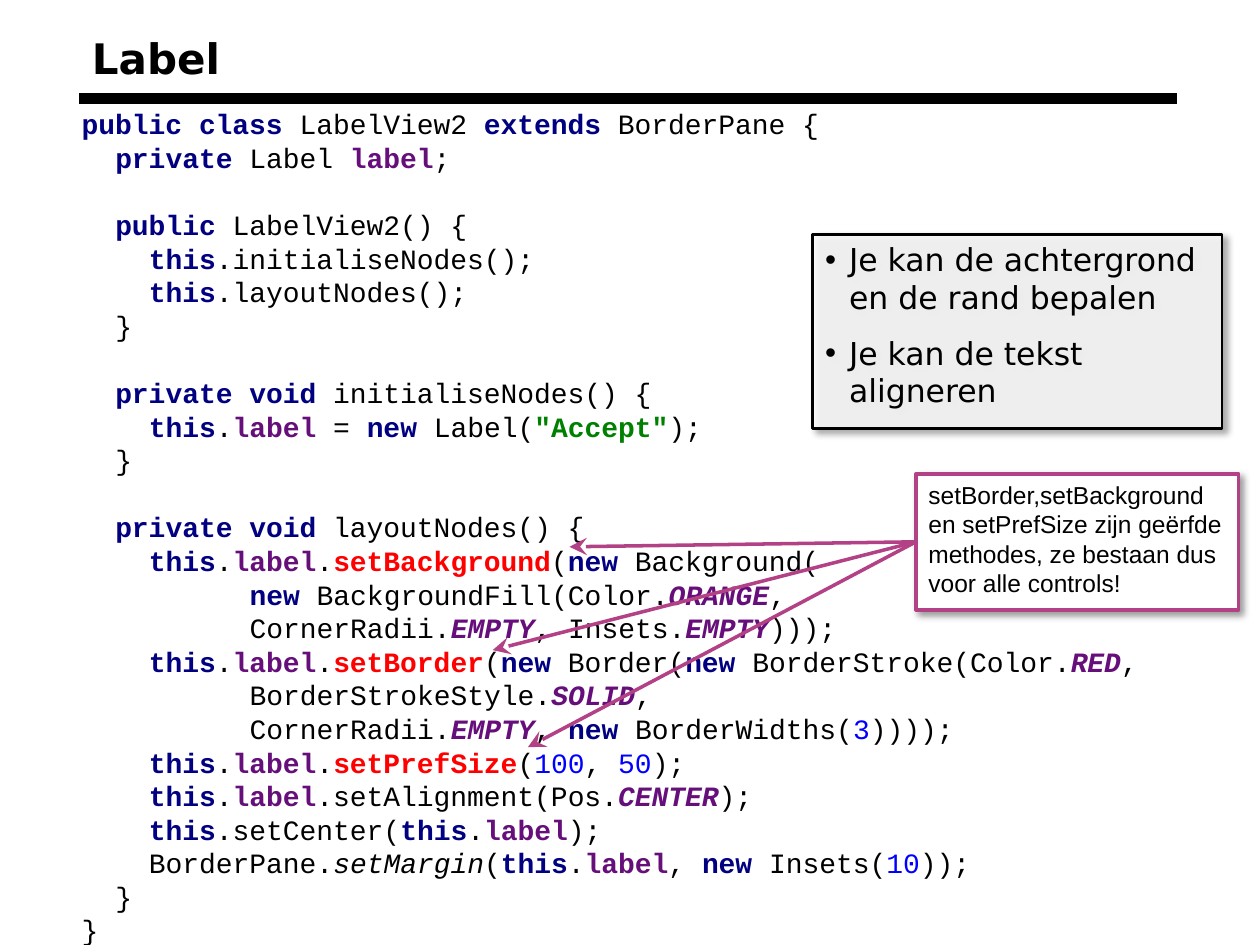
from dataclasses import dataclass
from itertools import groupby
from typing import Any, NamedTuple

import lxml.etree
import pptx
import pptx.dml.color
import pptx.enum.shapes
import pptx.enum.text
import pptx.oxml
import pptx.oxml.ns
import pptx.util
from pptx.util import Inches


@dataclass(frozen=True)
class Theme:
    black: str = "000000"
    white: str = "FFFFFF"
    navy: str = "000080"
    purple: str = "660E7A"
    green: str = "008000"
    red: str = "FF0000"
    blue: str = "0000FF"
    magenta: str = "B34185"
    heading_font: str = "DejaVu Sans"
    code_font: str = "Courier New"
    note_font: str = "Arial"
    title_size: int = 24
    bullet_size: int = 18
    code_size: int = 16
    note_size: int = 14
    code_line: float = 19.2  # height of a line of code, points
    code_column: float = 9.6  # width of a character of code, points


THEME = Theme()


class Span(NamedTuple):
    text: str
    color: str = THEME.black
    bold: bool = False
    italic: bool = False


class Paragraph(NamedTuple):
    spans: list[Span]
    before: float = 0  # points
    indent: float = 0  # points


class Panel(NamedTuple):
    left: float
    top: float
    width: float
    height: float
    line_color: str
    line_width: float
    opacity: int = 100


BULLET_PANEL = Panel(6.45, 1.86, 3.25, 1.54, THEME.black, 1.5, opacity=80)
NOTE_PANEL = Panel(7.27, 3.76, 2.56, 1.08, THEME.magenta, 2)
BULLETS = ["Je kan de achtergrond en de rand bepalen", "Je kan de tekst aligneren"]
NOTE = ("setBorder,setBackground en setPrefSize zijn geërfde methodes, "
        "ze bestaan dus voor alle controls!")
ARROW_TIPS = [(4.52, 4.34), (3.91, 5.16), (4.19, 5.93)]

KEYWORDS = {"public", "private", "class", "extends", "void", "new", "this"}
INHERITED_METHODS = {"setBackground", "setBorder", "setPrefSize"}
CODE = """\
public class LabelView2 extends BorderPane {
  private Label label;

  public LabelView2() {
    this.initialiseNodes();
    this.layoutNodes();
  }

  private void initialiseNodes() {
    this.label = new Label("Accept");
  }

  private void layoutNodes() {
    this.label.setBackground(new Background(
          new BackgroundFill(Color.ORANGE,
          CornerRadii.EMPTY, Insets.EMPTY)));
    this.label.setBorder(new Border(new BorderStroke(Color.RED,
          BorderStrokeStyle.SOLID,
          CornerRadii.EMPTY, new BorderWidths(3))));
    this.label.setPrefSize(100, 50);
    this.label.setAlignment(Pos.CENTER);
    this.setCenter(this.label);
    BorderPane.setMargin(this.label, new Insets(10));
  }
}"""


def rgb(color: str) -> pptx.dml.color.RGBColor:
    return pptx.dml.color.RGBColor.from_string(color)


def style_word(word: str) -> Span:
    """Give one word of Java its syntax colour."""
    if word in KEYWORDS:
        return Span(word, THEME.navy, bold=True)
    if word in INHERITED_METHODS:
        return Span(word, THEME.red, bold=True)
    if word == "label":
        return Span(word, THEME.purple, bold=True)
    if word.isdigit():
        return Span(word, THEME.blue)
    if word.isupper():
        return Span(word, THEME.purple, bold=True, italic=True)
    return Span(word, italic=word == "setMargin")


def highlight(line: str) -> list[Span]:
    """Split a line of code into spans, joining neighbours of one style."""
    spans: list[Span] = []
    for index, part in enumerate(line.split('"')):
        if index % 2:
            spans.append(Span(f'"{part}"', THEME.green, bold=True))
        else:
            spans += [style_word("".join(letters))
                      for _, letters in groupby(part, str.isalnum)]
    return [Span("".join(span.text for span in group), *style)
            for style, group in groupby(spans, key=lambda span: span[1:])]


def layout_code(code: str) -> list[Paragraph]:
    """Turn leading spaces into indents and empty lines into paragraph spacing."""
    paragraphs: list[Paragraph] = []
    before = 0.0
    for line in code.split("\n"):
        words = line.lstrip()
        if words:
            indent = (len(line) - len(words)) * THEME.code_column
            paragraphs.append(Paragraph(highlight(words), before, indent))
        before = 0 if words else THEME.code_line
    return paragraphs


def write_text(frame: Any, paragraphs: list[Paragraph], *, font: str, size: float,
               anchor: Any = pptx.enum.text.MSO_ANCHOR.TOP, bullet: str = "") -> None:
    frame.word_wrap = True
    frame.auto_size = pptx.enum.text.MSO_AUTO_SIZE.NONE
    frame.vertical_anchor = anchor
    for index, paragraph in enumerate(paragraphs):
        para = frame.add_paragraph() if index else frame.paragraphs[0]
        para.alignment = pptx.enum.text.PP_ALIGN.LEFT
        para.space_before = pptx.util.Pt(paragraph.before)
        properties = para._p.get_or_add_pPr()
        properties.set("marL", str(pptx.util.Pt(paragraph.indent)))
        properties.set("indent", str(-pptx.util.Pt(paragraph.indent) if bullet else 0))
        if bullet:
            lxml.etree.SubElement(properties, pptx.oxml.ns.qn("a:buFont"),
                                  typeface=THEME.note_font)
            lxml.etree.SubElement(properties, pptx.oxml.ns.qn("a:buChar"), char=bullet)
        for span in paragraph.spans:
            run = para.add_run()
            run.text = span.text
            run.font.name = font
            run.font.size = pptx.util.Pt(size)
            run.font.bold = span.bold
            run.font.italic = span.italic
            run.font.color.rgb = rgb(span.color)


def add_panel(page: Any, panel: Panel) -> Any:
    """Draw a rectangle with a soft shadow."""
    box = page.shapes.add_shape(
        pptx.enum.shapes.MSO_SHAPE.RECTANGLE,
        *map(Inches, (panel.left, panel.top, panel.width, panel.height)))
    box.fill.solid()
    box.fill.fore_color.rgb = rgb(THEME.white)
    box.line.color.rgb = rgb(panel.line_color)
    box.line.width = pptx.util.Pt(panel.line_width)
    if panel.opacity < 100:
        color = box._element.spPr.find(".//" + pptx.oxml.ns.qn("a:srgbClr"))
        lxml.etree.SubElement(color, pptx.oxml.ns.qn("a:alpha"),
                              val=str(panel.opacity * 1000))
    box._element.spPr.append(pptx.oxml.parse_xml(
        f'<a:effectLst {pptx.oxml.ns.nsdecls("a")}>'
        f'<a:outerShdw blurRad="{pptx.util.Pt(4)}" dist="{pptx.util.Pt(3)}" '
        f'dir="{45 * 60000}" algn="tl" rotWithShape="0"><a:srgbClr val="{THEME.black}">'
        '<a:alpha val="40000"/></a:srgbClr></a:outerShdw></a:effectLst>'))
    return box


def add_line(page: Any, start: tuple[float, float], end: tuple[float, float], *,
             color: str, width: float, arrow: bool = False) -> Any:
    line = page.shapes.add_connector(pptx.enum.shapes.MSO_CONNECTOR.STRAIGHT,
                                     *map(Inches, (*start, *end)))
    line.line.color.rgb = rgb(color)
    line.line.width = pptx.util.Pt(width)
    if arrow:
        lxml.etree.SubElement(line.line._get_or_add_ln(), pptx.oxml.ns.qn("a:tailEnd"),
                              type="stealth", w="lg", len="lg")
    lxml.etree.SubElement(line._element.spPr, pptx.oxml.ns.qn("a:effectLst"))
    return line


def main() -> None:
    deck = pptx.Presentation()
    deck.slide_width, deck.slide_height = Inches(10), Inches(7.5)
    page = deck.slides.add_slide(deck.slide_layouts[5])

    # Title and the rule below it
    title = page.shapes.title
    title.left, title.top, title.width, title.height = map(Inches, (0.63, 0.14, 8.71, 0.64))
    write_text(title.text_frame, [Paragraph([Span("Label", bold=True)])],
               font=THEME.heading_font, size=THEME.title_size,
               anchor=pptx.enum.text.MSO_ANCHOR.MIDDLE)
    add_line(page, (0.63, 0.78), (9.34, 0.78), color=THEME.black, width=6)

    # Java listing
    listing = page.shapes.add_textbox(*map(Inches, (0.55, 0.8, 9.45, 6.7)))
    write_text(listing.text_frame, layout_code(CODE),
               font=THEME.code_font, size=THEME.code_size)

    # Remarks
    bullets = add_panel(page, BULLET_PANEL)
    write_text(bullets.text_frame,
               [Paragraph([Span(text)], before=10 * index, indent=Inches(0.19).pt)
                for index, text in enumerate(BULLETS)],
               font=THEME.heading_font, size=THEME.bullet_size, bullet="•")
    note = add_panel(page, NOTE_PANEL)
    write_text(note.text_frame, [Paragraph([Span(NOTE)])],
               font=THEME.note_font, size=THEME.note_size)

    # Arrows from the note to the inherited methods
    middle_left = (NOTE_PANEL.left, NOTE_PANEL.top + NOTE_PANEL.height / 2)
    for tip in ARROW_TIPS:
        arrow = add_line(page, middle_left, tip, color=THEME.magenta, width=2, arrow=True)
        arrow.begin_connect(note, 1)

    deck.save("out.pptx")


if __name__ == "__main__":
    main()
